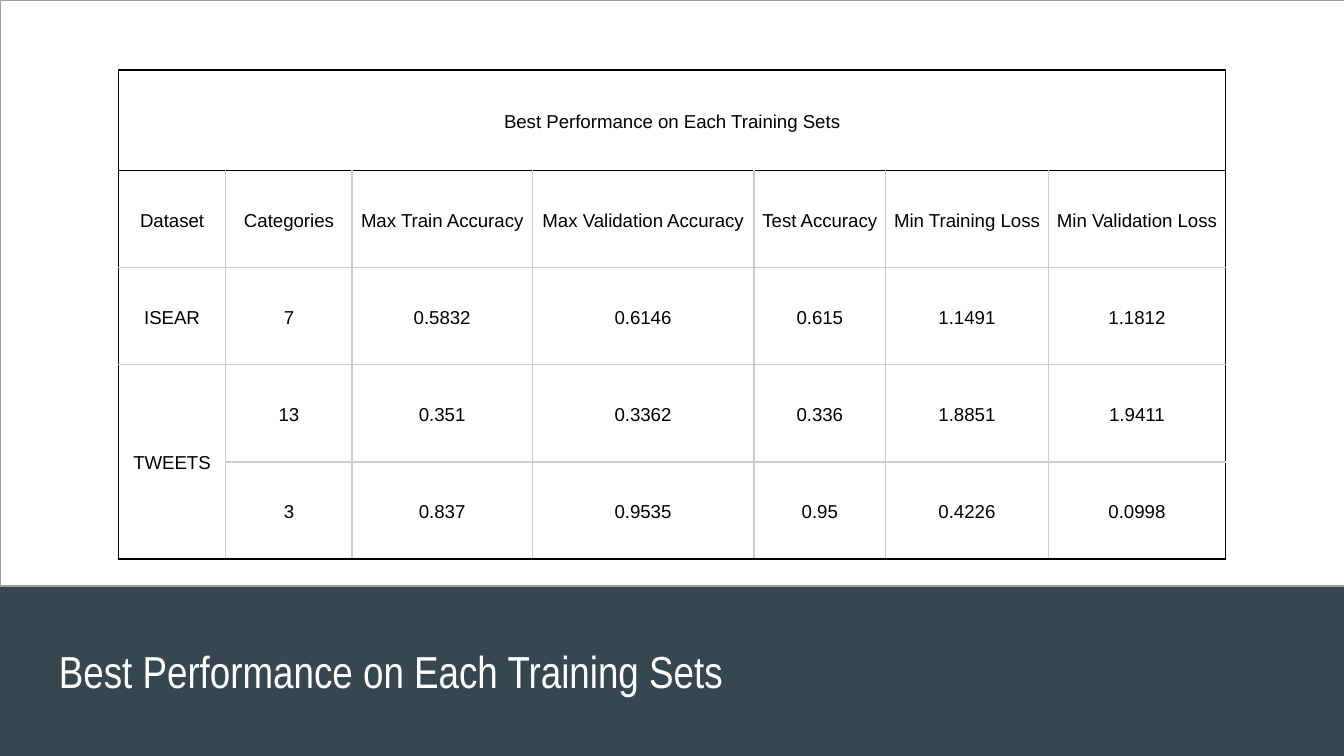
from lxml.etree import SubElement
from pptx import Presentation
from pptx.dml.color import RGBColor
from pptx.enum.shapes import MSO_SHAPE as Shape
from pptx.enum.text import MSO_ANCHOR as Anchor, PP_ALIGN as Align
from pptx.oxml.ns import qn
from pptx.util import Inches, Pt

SLATE, WHITE, BLACK = "37474F", "FFFFFF", "000000"
PANEL_EDGE, GRID = "9E9E9E", "CCCCCC"

TITLE = "Best Performance on Each Training Sets"
COLUMN_WIDTHS = [0.8, 0.94, 1.34, 1.65, 0.98, 1.21, 1.32]
ROW_HEIGHTS = [0.75] + [2.89 / 4] * 4
ROWS = [
    [TITLE],
    ["Dataset", "Categories", "Max Train Accuracy", "Max Validation Accuracy",
     "Test Accuracy", "Min Training Loss", "Min Validation Loss"],
    ["ISEAR", "7", "0.5832", "0.6146", "0.615", "1.1491", "1.1812"],
    ["TWEETS", "13", "0.351", "0.3362", "0.336", "1.8851", "1.9411"],
    ["", "3", "0.837", "0.9535", "0.95", "0.4226", "0.0998"],
]
LAST_ROW, LAST_COLUMN = len(ROWS) - 1, len(COLUMN_WIDTHS) - 1
CELL_FORMAT = {
    "vertical_anchor": Anchor.MIDDLE,
    "margin_left": Inches(0.03), "margin_right": Inches(0.03),
    "margin_top": Inches(0.02), "margin_bottom": Inches(0.02),
}
TITLE_FORMAT = {
    "word_wrap": True, "vertical_anchor": Anchor.MIDDLE,
    "margin_left": Inches(0.1), "margin_right": Inches(0.1),
    "margin_top": Inches(0.1), "margin_bottom": Inches(0.1),
}


def paint(fill, color):
    fill.solid()
    fill.fore_color.rgb = RGBColor.from_string(color)


def apply_format(target, values):
    for name, value in values.items():
        setattr(target, name, value)


def write(frame, text, font_name, size, color, align):
    paragraph = frame.paragraphs[0]
    paragraph.alignment = align
    paragraph.line_spacing = 1.15
    run = paragraph.add_run()
    run.text = text
    apply_format(run.font, {"name": font_name, "size": Pt(size)})
    run.font.color.rgb = RGBColor.from_string(color)


def border_colors(row, column):
    """Black round the table and the heading row, grey between the values."""
    heading = row == 0
    ends_at_bottom = row == LAST_ROW or (column == 0 and row == LAST_ROW - 1)
    black_sides = {
        "lnL": heading or column == 0,
        "lnR": heading or column == LAST_COLUMN,
        "lnT": row <= 1,
        "lnB": heading or ends_at_bottom,
    }
    return {side: BLACK if black else GRID for side, black in black_sides.items()}


def draw_borders(cell, colors):
    properties = cell._tc.get_or_add_tcPr()
    for side, color in colors.items():
        line = SubElement(properties, qn(f"a:{side}"), w=str(Pt(0.75)))
        solid = SubElement(line, qn("a:solidFill"))
        SubElement(solid, qn("a:srgbClr"), val=color)


def add_panel(slide):
    panel = slide.shapes.add_shape(
        Shape.RECTANGLE, 0, 0, Inches(10.06), Inches(4.36))
    panel.shadow.inherit = False
    paint(panel.fill, WHITE)
    paint(panel.line.fill, PANEL_EDGE)
    panel.line.width = Pt(0.75)


def add_title(slide):
    title = slide.shapes.add_textbox(
        Inches(0.34), Inches(4.63), Inches(6.56), Inches(0.66))
    apply_format(title.text_frame, TITLE_FORMAT)
    write(title.text_frame, TITLE, "Arial Narrow", 24, WHITE, Align.LEFT)


def add_results(slide):
    results = slide.shapes.add_table(
        len(ROWS), len(COLUMN_WIDTHS), Inches(0.88), Inches(0.52),
        Inches(sum(COLUMN_WIDTHS)), Inches(sum(ROW_HEIGHTS))).table
    apply_format(results, {"first_row": False, "horz_banding": False})
    for column, width in zip(results.columns, COLUMN_WIDTHS):
        column.width = Inches(width)
    for row, height in zip(results.rows, ROW_HEIGHTS):
        row.height = Inches(height)

    results.cell(0, 0).merge(results.cell(0, LAST_COLUMN))
    results.cell(LAST_ROW - 1, 0).merge(results.cell(LAST_ROW, 0))
    for row in range(len(ROWS)):
        for column in range(len(COLUMN_WIDTHS)):
            cell = results.cell(row, column)
            apply_format(cell, CELL_FORMAT)
            draw_borders(cell, border_colors(row, column))
            if row >= 2 and column >= 2:
                paint(cell.fill, WHITE)
            else:
                cell.fill.background()
            if not cell.is_spanned:
                write(cell.text_frame, ROWS[row][column], "Arial", 10, BLACK,
                      Align.CENTER)


def main():
    deck = Presentation()
    deck.slide_width = Inches(10)
    deck.slide_height = deck.slide_width * 9 // 16
    slide = deck.slides.add_slide(deck.slide_layouts[6])
    paint(slide.background.fill, SLATE)
    add_panel(slide)
    add_title(slide)
    add_results(slide)
    deck.save("out.pptx")


if __name__ == "__main__":
    main()
